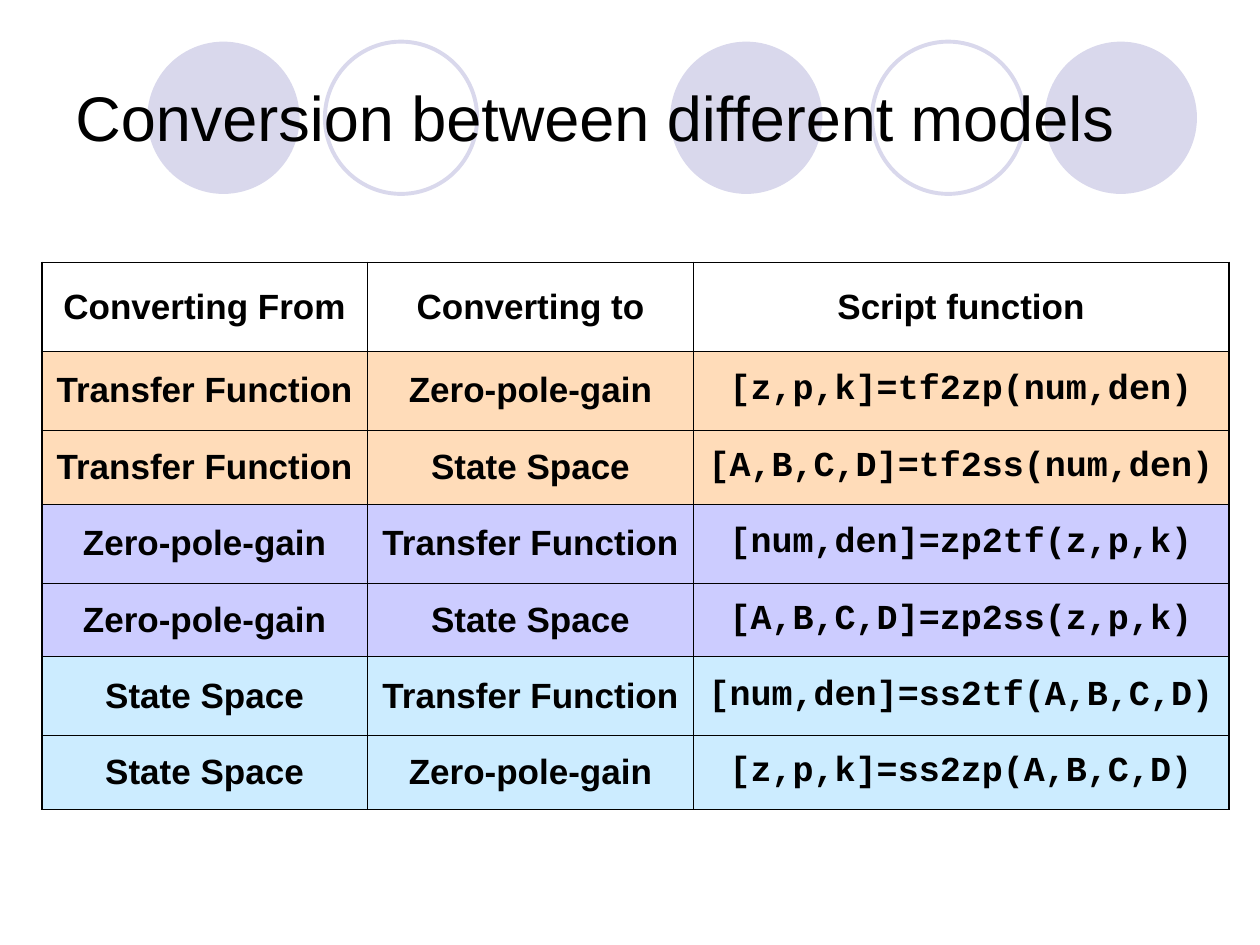
from lxml.etree import SubElement
from pptx import Presentation
from pptx.dml.color import RGBColor
from pptx.enum.shapes import MSO_SHAPE
from pptx.enum.text import MSO_ANCHOR, PP_ALIGN
from pptx.oxml.ns import qn
from pptx.util import Cm, Pt

HUES = {"ink": "000000", "ring": "D9D8EC", "peach": "FFDCB9",
        "lilac": "CCCCFF", "sky": "CCECFF"}
TITLE = {"name": "Arial", "size": Pt(36)}
LABEL = {"name": "Arial", "size": Pt(20), "bold": True}
CODE = {**LABEL, "name": "Courier New"}
PADS = {"margin_left": Cm(0.25), "margin_right": Cm(0.25),
        "margin_top": Cm(0.13), "margin_bottom": Cm(0.13),
        "vertical_anchor": MSO_ANCHOR.MIDDLE}
THIN, THICK = Pt(0.45), Pt(1.08)

RINGS = [(1.7, True), (5.28, False), (12.24, True), (16.31, False), (19.79, True)]
COLS = [6.57, 6.57, 10.79]
HEAD, TALL, SHORT = 1.79, 1.59, 1.49
ROWS = [
    (None, "Converting From", "Converting to", "Script function"),
    ("peach", "Transfer Function", "Zero-pole-gain", "[z,p,k]=tf2zp(num,den)"),
    ("peach", "Transfer Function", "State Space", "[A,B,C,D]=tf2ss(num,den)"),
    ("lilac", "Zero-pole-gain", "Transfer Function", "[num,den]=zp2tf(z,p,k)"),
    ("lilac", "Zero-pole-gain", "State Space", "[A,B,C,D]=zp2ss(z,p,k)"),
    ("sky", "State Space", "Transfer Function", "[num,den]=ss2tf(A,B,C,D)"),
    ("sky", "State Space", "Zero-pole-gain", "[z,p,k]=ss2zp(A,B,C,D)"),
]


def hue(key):
    return RGBColor.from_string(HUES[key])


def apply(item, values):
    for key, value in values.items():
        setattr(item, key, value)


def write(para, text, style):
    run = para.add_run()
    run.text = text
    apply(run.font, style)
    run.font.color.rgb = hue("ink")


def edge(cell, widths):
    props = cell._tc.get_or_add_tcPr()
    for spot, (side, width) in enumerate(widths.items()):
        line = SubElement(props, qn(f"a:ln{side}"), w=str(int(width)))
        fill = SubElement(line, qn("a:solidFill"))
        SubElement(fill, qn("a:srgbClr"), val=HUES["ink"])
        props.insert(spot, line)


def add_rings(slide, left, top, size):
    for shift, solid in RINGS:
        ring = slide.shapes.add_shape(
            MSO_SHAPE.OVAL, Cm(left + shift), Cm(top), Cm(size), Cm(size))
        ring.shadow.inherit = False
        if solid:
            ring.fill.solid()
            ring.fill.fore_color.rgb = hue("ring")
            ring.line.fill.background()
        else:
            ring.fill.background()
            ring.line.color.rgb = hue("ring")
            ring.line.width = Pt(2.25)


def add_title(slide, left, top, width, height):
    add_rings(slide, left, top + 0.08, 3.07)
    box = slide.shapes.add_textbox(Cm(left), Cm(top), Cm(width), Cm(height))
    frame = box.text_frame
    apply(frame, {**PADS, "word_wrap": True})
    write(frame.paragraphs[0], "Conversion between different models", TITLE)


def add_grid(slide, left, top):
    highs = [HEAD] + [TALL, SHORT] * (len(ROWS) // 2)
    grid = slide.shapes.add_table(
        len(ROWS), len(COLS), Cm(left), Cm(top),
        Cm(sum(COLS)), Cm(sum(highs))).table
    apply(grid, {"first_row": False, "horz_banding": False})
    for col, width in zip(grid.columns, COLS):
        col.width = Cm(width)
    for row, high in zip(grid.rows, highs):
        row.height = Cm(high)
    for y, (tint, *texts) in enumerate(ROWS):
        for x, text in enumerate(texts):
            cell = grid.cell(y, x)
            apply(cell, PADS)
            if tint:
                cell.fill.solid()
                cell.fill.fore_color.rgb = hue(tint)
            else:
                cell.fill.background()
            last = x == len(COLS) - 1
            edge(cell, {"L": THICK if x == 0 else THIN,
                        "R": THICK if last else THIN,
                        "T": THICK if y == 0 else THIN,
                        "B": THICK if y == len(ROWS) - 1 else THIN})
            para = cell.text_frame.paragraphs[0]
            para.alignment = PP_ALIGN.CENTER
            write(para, text, CODE if last and y else LABEL)


def main():
    deck = Presentation()
    apply(deck, {"slide_width": Cm(25.4), "slide_height": Cm(19.05)})
    slide = deck.slides.add_slide(deck.slide_layouts[6])
    add_title(slide, 1.27, 0.76, 22.86, 3.18)
    add_grid(slide, 0.84, 5.29)
    deck.save("out.pptx")


if __name__ == "__main__":
    main()
